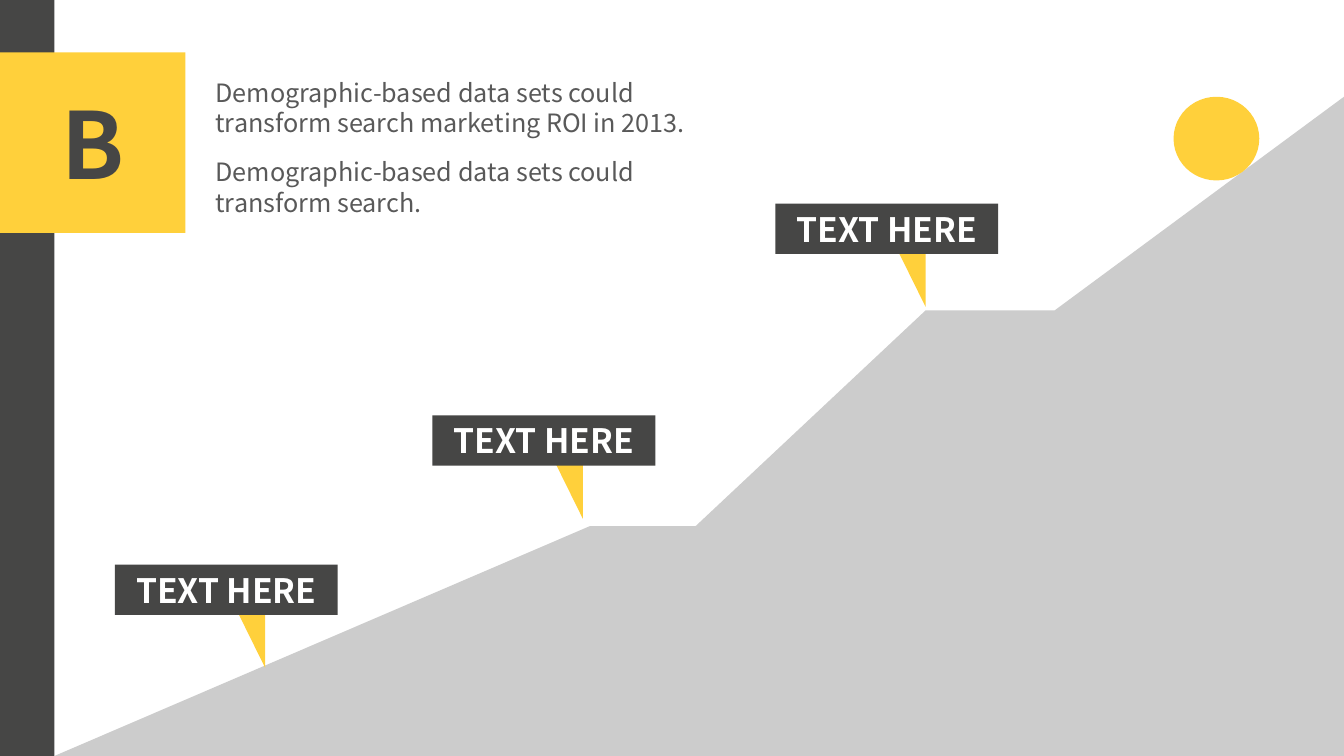
from dataclasses import dataclass

from pptx import Presentation
from pptx.dml.color import RGBColor
from pptx.enum.shapes import MSO_SHAPE
from pptx.enum.text import MSO_ANCHOR, PP_ALIGN
from pptx.util import Inches, Pt


@dataclass(frozen=True)
class Theme:
    font: str = "Noto Sans CJK SC"
    dark: str = "464645"
    accent: str = "FFD03B"
    mountain: str = "CCCCCC"
    body: str = "595959"
    light: str = "FFFFFF"
    letter_size: float = 66
    label_size: float = 24
    body_size: float = 18
    body_leading: float = 21.6


class SlideBuilder:
    """Places elements by percentages of the slide's width and height."""

    def __init__(self, presentation, theme):
        self.theme = theme
        self.width = presentation.slide_width
        self.height = presentation.slide_height
        self.slide = presentation.slides.add_slide(presentation.slide_layouts[6])

    def across(self, share):
        return round(self.width * share / 100)

    def down(self, share):
        return round(self.height * share / 100)

    def box(self, left, top, width, height):
        return self.across(left), self.down(top), self.across(width), self.down(height)

    def paint(self, shape, color):
        shape.shadow.inherit = False
        shape.fill.solid()
        shape.fill.fore_color.rgb = RGBColor.from_string(color)
        shape.line.fill.background()
        return shape

    def shape(self, kind, left, top, width, height, color):
        shape = self.slide.shapes.add_shape(kind, *self.box(left, top, width, height))
        return self.paint(shape, color)

    def outline(self, points, color):
        corners = [(self.across(x), self.down(y)) for x, y in points]
        builder = self.slide.shapes.build_freeform(*corners[0])
        builder.add_line_segments(corners[1:], close=True)
        return self.paint(builder.convert_to_shape(), color)

    def add_text(self, shape, text, size, color, bold=False, align=PP_ALIGN.CENTER):
        frame = shape.text_frame
        frame.word_wrap = True
        frame.vertical_anchor = MSO_ANCHOR.MIDDLE
        paragraph = frame.paragraphs[0]
        paragraph.alignment = align
        run = paragraph.add_run()
        run.text = text
        run.font.name = self.theme.font
        run.font.size = Pt(size)
        run.font.bold = bold
        run.font.color.rgb = RGBColor.from_string(color)
        return paragraph

    def badge(self, letter, left, top, width, height):
        badge = self.shape(MSO_SHAPE.RECTANGLE, left, top, width, height, self.theme.accent)
        self.add_text(badge, letter, self.theme.letter_size, self.theme.dark, bold=True)

    def body_text(self, text, left, top, width, height):
        text_box = self.slide.shapes.add_textbox(*self.box(left, top, width, height))
        paragraph = self.add_text(text_box, text, self.theme.body_size, self.theme.body,
                                  align=PP_ALIGN.LEFT)
        paragraph.line_spacing = Pt(self.theme.body_leading)

    def signpost(self, text, left, top):
        # The pointer sits behind the label, its tip at the lower right
        pointer = self.shape(MSO_SHAPE.ISOSCELES_TRIANGLE, left + 8.55, top + 4.2,
                             2.63, 9.47, self.theme.accent)
        pointer.adjustments[0] = 0
        pointer.rotation = 180
        label = self.shape(MSO_SHAPE.RECTANGLE, left, top, 16.58, 6.67, self.theme.dark)
        self.add_text(label, text, self.theme.label_size, self.theme.light, bold=True)


def main():
    presentation = Presentation()
    presentation.slide_width = Inches(13.33)
    presentation.slide_height = Inches(7.5)
    theme = Theme()
    builder = SlideBuilder(presentation, theme)

    # Side bar and letter badge
    bar_width = 4.05
    builder.shape(MSO_SHAPE.RECTANGLE, 0, 0, bar_width, 100, theme.dark)
    builder.badge("B", 0, 6.93, 13.8, 23.87)

    # Stepped mountain with the ball on its last slope
    lower_step, upper_step, summit = 69.6, 41.07, 12.8
    builder.outline([(bar_width, 100), (43.89, lower_step), (51.76, lower_step),
                     (68.87, upper_step), (78.47, upper_step),
                     (100, summit), (100, 100)], theme.mountain)
    builder.shape(MSO_SHAPE.OVAL, 87.32, summit, 6.38, 11.07, theme.accent)

    # Signposts along the climb
    for left, top in [(32.18, 54.93), (57.69, 26.93), (8.55, 74.67)]:
        builder.signpost("TEXT HERE", left, top)

    # Introductory statements
    statements = [
        "Demographic-based data sets could transform search marketing ROI in 2013.",
        "Demographic-based data sets could transform search.",
    ]
    for index, statement in enumerate(statements):
        builder.body_text(statement, 15.3, 9.47 + index * 10.53, 38.26, 9.47)

    presentation.save("out.pptx")


if __name__ == "__main__":
    main()
